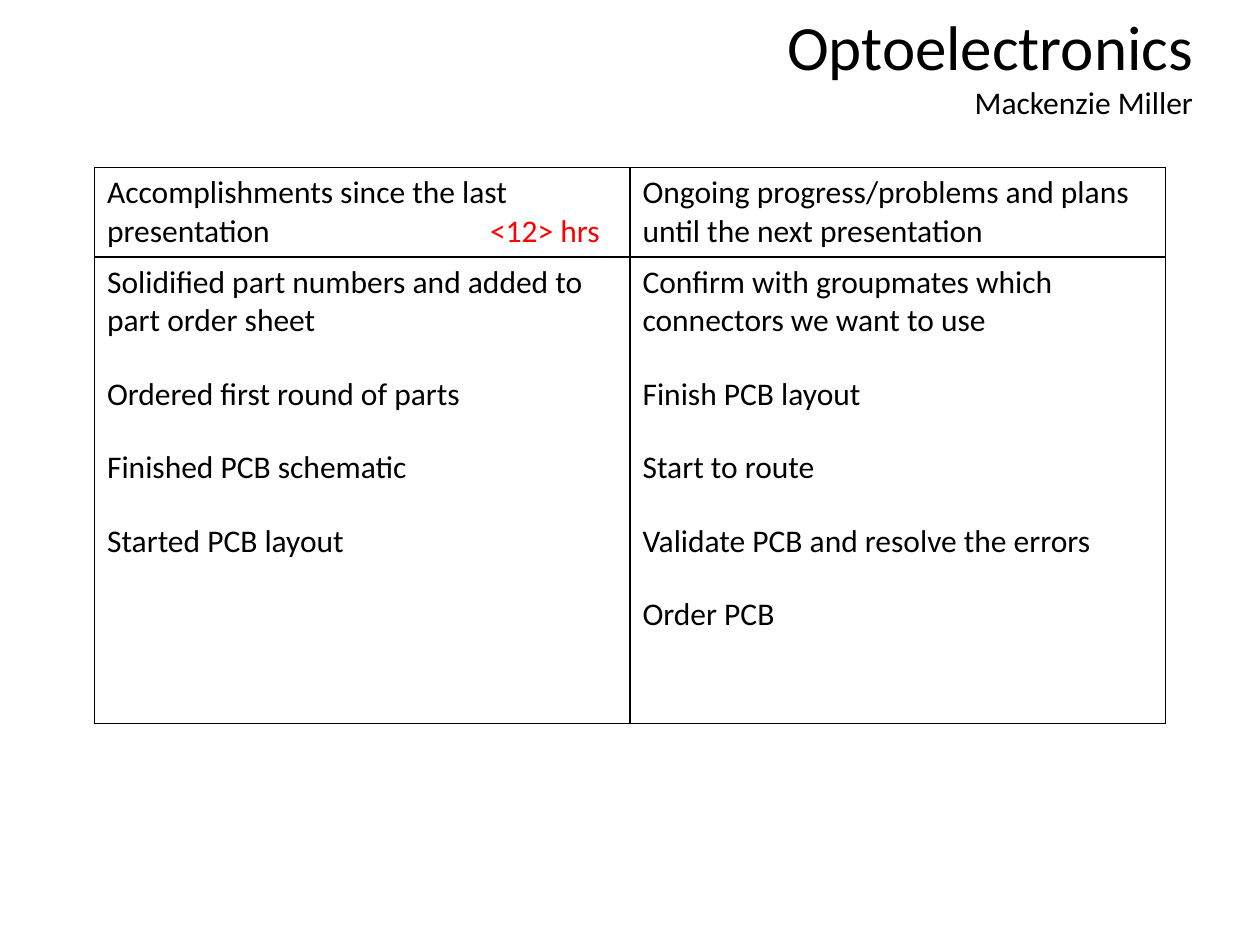
import pptx
import pptx.dml.color
import pptx.enum.text
import pptx.oxml
import pptx.oxml.ns
import pptx.util
from pptx.util import Inches

TOPIC = "Optoelectronics"
NAME = "Mackenzie Miller"
HEADS = [
    ("Accomplishments since the last presentation", "<12> hrs"),
    ("Ongoing progress/problems and plans until the next presentation", ""),
]
LISTS = [
    [
        "Solidified part numbers and added to part order sheet",
        "Ordered first round of parts",
        "Finished PCB schematic",
        "Started PCB layout",
    ],
    [
        "Confirm with groupmates which connectors we want to use",
        "Finish PCB layout",
        "Start to route",
        "Validate PCB and resolve the errors",
        "Order PCB",
    ],
]
THEME = {"font": "Calibri", "ink": "000000", "hours": "FF0000",
         "title": 36, "body": 18, "gap": 20, "line": 1}
WIDTH, ROWS = 8.5, (0.7, 3.7)
TAB = 3.91


def style(para, size):
    para.font.name = THEME["font"]
    para.font.size = pptx.util.Pt(size)
    para.font.color.rgb = pptx.dml.color.RGBColor.from_string(THEME["ink"])


def fill_text(frame, lines, sizes, gap=0):
    for i, (line, size) in enumerate(zip(lines, sizes)):
        para = frame.add_paragraph() if i else frame.paragraphs[0]
        para.text = line
        style(para, size)
        if i:
            para.space_before = pptx.util.Pt(gap)


def add_hours(para, hours):
    run = para.add_run()
    run.text = "\t" + hours
    run.font.color.rgb = pptx.dml.color.RGBColor.from_string(THEME["hours"])
    tabs = pptx.oxml.parse_xml(
        f'<a:tabLst {pptx.oxml.ns.nsdecls("a")}>'
        f'<a:tab pos="{Inches(TAB)}" algn="r"/></a:tabLst>')
    props = para._p.get_or_add_pPr()
    last = props.find(pptx.oxml.ns.qn("a:defRPr"))
    if last is None:
        props.append(tabs)
    else:
        last.addprevious(tabs)


def add_frame(cell):
    props = cell._tc.get_or_add_tcPr()
    for side in "LRTB":
        props.append(pptx.oxml.parse_xml(
            f'<a:ln{side} {pptx.oxml.ns.nsdecls("a")} '
            f'w="{pptx.util.Pt(THEME["line"])}"><a:solidFill>'
            f'<a:srgbClr val="{THEME["ink"]}"/></a:solidFill></a:ln{side}>'))
    cell.fill.background()


def add_title(slide):
    title = slide.shapes.title
    title.left, title.top = Inches(2.42), Inches(0.01)
    title.width, title.height = Inches(7.25), Inches(1.01)
    frame = title.text_frame
    frame.word_wrap = True
    frame.auto_size = pptx.enum.text.MSO_AUTO_SIZE.NONE
    frame.vertical_anchor = pptx.enum.text.MSO_ANCHOR.TOP
    frame.margin_right = Inches(0.2)
    fill_text(frame, [TOPIC, NAME], [THEME["title"], THEME["body"]])
    for para in frame.paragraphs:
        para.alignment = pptx.enum.text.PP_ALIGN.RIGHT


def add_grid(slide):
    grid = slide.shapes.add_table(
        len(ROWS), len(HEADS), Inches(0.75), Inches(1.33),
        Inches(WIDTH), Inches(sum(ROWS))).table
    grid.first_row = grid.horz_banding = False
    for row, height in zip(grid.rows, ROWS):
        row.height = Inches(height)
    for col, ((head, hours), items) in enumerate(zip(HEADS, LISTS)):
        for row, lines in enumerate(([head], items)):
            cell = grid.cell(row, col)
            sizes = [THEME["body"]] * len(lines)
            fill_text(cell.text_frame, lines, sizes, THEME["gap"])
            add_frame(cell)
        if hours:
            add_hours(grid.cell(0, col).text_frame.paragraphs[0], hours)


def main():
    deck = pptx.Presentation()
    deck.slide_width, deck.slide_height = Inches(10), Inches(7.5)
    slide = deck.slides.add_slide(deck.slide_layouts[5])
    add_title(slide)
    add_grid(slide)
    deck.save("out.pptx")


if __name__ == "__main__":
    main()
